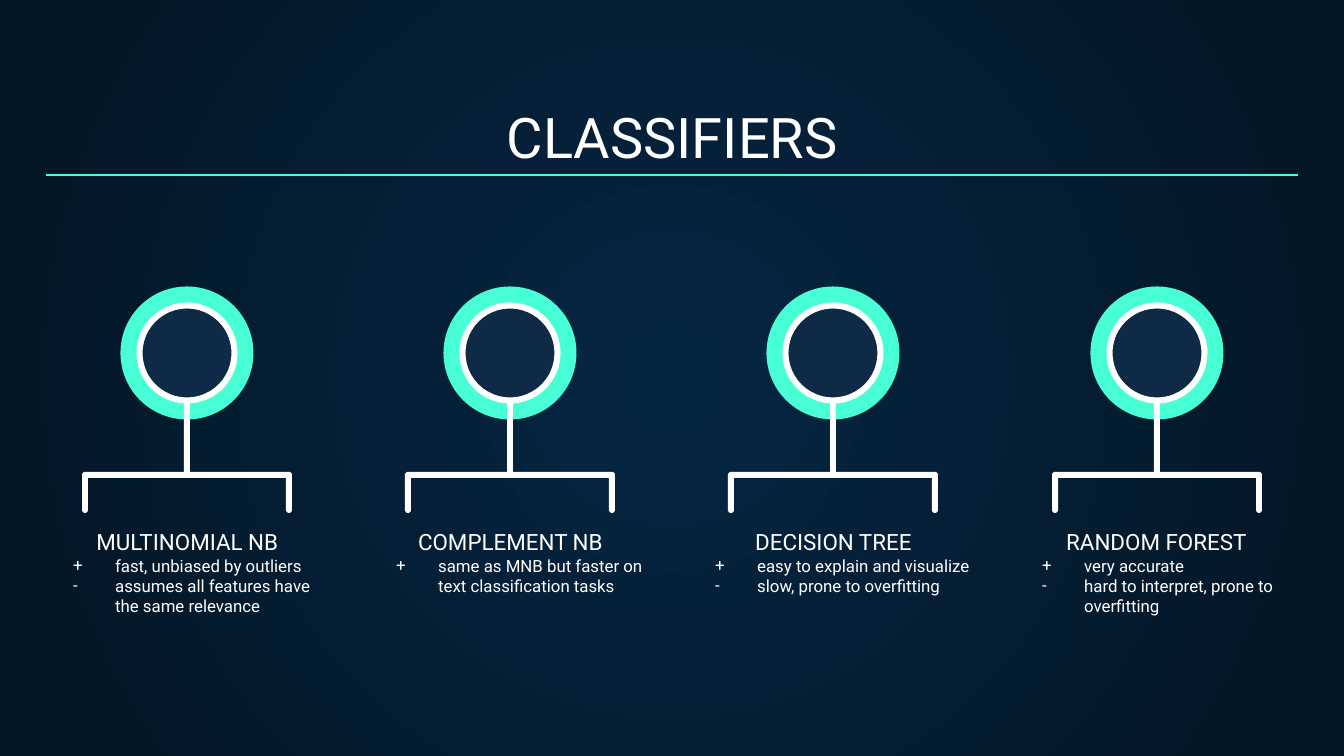
from lxml import etree
from pptx import Presentation, util as u
from pptx.dml.color import RGBColor
from pptx.enum import shapes, text
from pptx.oxml.ns import qn

PX = 914400 / 134.4
FONT = "Roboto"
WHITE = RGBColor(0xFF, 0xFF, 0xFF)
MINT = RGBColor(0x48, 0xFF, 0xD5)
NAVY = RGBColor(0x0E, 0x2A, 0x47)
GLOW = RGBColor(0x05, 0x26, 0x43)
NIGHT = RGBColor(0x04, 0x15, 0x23)

FIRST_CENTER, CENTER_SPAN = 187, 970
CIRCLE_Y = 353
# heading, text left, text width, list of (bullet, wording)
CLASSIFIERS = [
    ("MULTINOMIAL NB", 35, 305, [
        ("+", "fast, unbiased by outliers"),
        ("-", "assumes all features have the same relevance")]),
    ("COMPLEMENT NB", 358, 305, [
        ("+", "same as MNB but faster on text classification tasks")]),
    ("DECISION TREE", 677, 313, [
        ("+", "easy to explain and visualize"),
        ("-", "slow, prone to overfitting")]),
    ("RANDOM FOREST", 1004, 305, [
        ("+", "very accurate"),
        ("-", "hard to interpret, prone to overfitting")]),
]


def px(length):
    return u.Emu(round(length * PX))


class ClassifierSlide:
    def __init__(self, presentation):
        self.slide = presentation.slides.add_slide(presentation.slide_layouts[5])

    def background(self, center, edge):
        """Fill the slide with a gradient that spreads in a circle from the middle."""
        fill = self.slide.background.fill
        fill.gradient()
        for stop, color, position in zip(fill.gradient_stops, (center, edge), (0, 1)):
            stop.color.rgb = color
            stop.position = position
        gradient = self.slide.element.find(".//" + qn("a:gradFill"))
        linear = gradient.find(qn("a:lin"))
        circle = etree.Element(qn("a:path"), {"path": "circle"})
        focus = {side: "50000" for side in "ltrb"}
        etree.SubElement(circle, qn("a:fillToRect"), focus)
        gradient.replace(linear, circle)

    def place(self, shape, left, top, width, height):
        shape.left, shape.top = px(left), px(top)
        shape.width, shape.height = px(width), px(height)

    def frame(self, shape, anchor):
        frame = shape.text_frame
        frame.word_wrap = True
        frame.auto_size = text.MSO_AUTO_SIZE.NONE
        frame.vertical_anchor = anchor
        frame.margin_left = frame.margin_right = u.Inches(0.1)
        frame.margin_top = frame.margin_bottom = u.Inches(0.1)
        return frame

    def run(self, paragraph, wording, size):
        run = paragraph.add_run()
        run.text = wording
        run.font.name = FONT
        run.font.size = u.Pt(size)
        run.font.color.rgb = WHITE

    def title(self, wording, left, top, width, height):
        shape = self.slide.shapes.title
        self.place(shape, left, top, width, height)
        paragraph = self.frame(shape, text.MSO_ANCHOR.BOTTOM).paragraphs[0]
        paragraph.alignment = text.PP_ALIGN.CENTER
        self.run(paragraph, wording, 30)

    def rule(self, left, right, y):
        line = self.slide.shapes.add_connector(
            shapes.MSO_CONNECTOR.STRAIGHT, px(left), px(y), px(right), px(y))
        line.line.color.rgb = MINT
        line.line.width = u.Pt(0.75)
        etree.SubElement(line.element.spPr, qn("a:effectLst"))

    def paint(self, shape, color):
        shape.shadow.inherit = False
        shape.fill.solid()
        shape.fill.fore_color.rgb = color
        shape.line.fill.background()

    def preset(self, kind, left, top, width, height, color, adjustment=None):
        shape = self.slide.shapes.add_shape(
            kind, px(left), px(top), px(width), px(height))
        if adjustment is not None:
            shape.adjustments[0] = adjustment
        self.paint(shape, color)

    def disc(self, x, y, diameter, color):
        self.preset(shapes.MSO_SHAPE.OVAL, x - diameter / 2, y - diameter / 2,
                    diameter, diameter, color)

    def ring(self, x, y, diameter, thickness, color):
        self.preset(shapes.MSO_SHAPE.DONUT, x - diameter / 2, y - diameter / 2,
                    diameter, diameter, color, thickness / diameter)

    def stem(self, x, top, bottom, thickness, color):
        self.preset(shapes.MSO_SHAPE.ROUNDED_RECTANGLE, x - thickness / 2, top,
                    thickness, bottom - top, color, 0.5)

    def bracket(self, x, top, bottom, half_width, thickness, color):
        """Draw a bracket open at the bottom, with softened ends and corners."""
        inner, soft = half_width - thickness, 2
        right = [
            (half_width - soft, top), (half_width, top + soft),
            (half_width, bottom - soft), (half_width - soft, bottom),
            (inner + soft, bottom), (inner, bottom - soft),
            (inner, top + thickness),
        ]
        left = [(-dx, y) for dx, y in reversed(right)]
        points = [(x + dx, y) for dx, y in right + left]
        builder = self.slide.shapes.build_freeform(*points[0], scale=PX)
        builder.add_line_segments(points[1:], close=True)
        self.paint(builder.convert_to_shape(), color)

    def description(self, heading, left, top, width, height, items):
        box = self.slide.shapes.add_textbox(
            px(left), px(top), px(width), px(height))
        frame = self.frame(box, text.MSO_ANCHOR.TOP)
        frame.paragraphs[0].alignment = text.PP_ALIGN.CENTER
        self.run(frame.paragraphs[0], heading, 12)
        for mark, wording in items:
            paragraph = frame.add_paragraph()
            self.bullet(paragraph, mark)
            self.run(paragraph, wording, 9)

    def bullet(self, paragraph, mark):
        paragraph.alignment = text.PP_ALIGN.LEFT
        properties = paragraph._p.get_or_add_pPr()
        properties.set("marL", str(px(67)))
        properties.set("indent", str(px(-42)))
        color = etree.SubElement(properties, qn("a:buClr"))
        etree.SubElement(color, qn("a:srgbClr"), val=str(WHITE))
        etree.SubElement(properties, qn("a:buFont"), typeface=FONT)
        etree.SubElement(properties, qn("a:buChar"), char=mark)


def main():
    presentation = Presentation()
    presentation.slide_width, presentation.slide_height = px(1344), px(756)
    page = ClassifierSlide(presentation)
    page.background(GLOW, NIGHT)
    page.title("CLASSIFIERS", 46, 94, 1253, 89)
    page.rule(46, 1298, 175)
    gaps = len(CLASSIFIERS) - 1
    for index, (heading, left, width, items) in enumerate(CLASSIFIERS):
        x = FIRST_CENTER + index * CENTER_SPAN // gaps
        page.disc(x, CIRCLE_Y, 133, MINT)
        page.bracket(x, 472, 513, 105, 6, WHITE)
        page.stem(x, 344, 478, 6, WHITE)
        page.disc(x, CIRCLE_Y, 94, NAVY)
        page.ring(x, CIRCLE_Y, 101, 6, WHITE)
        page.description(heading, left, 515, width, 101, items)
    presentation.save("out.pptx")


if __name__ == "__main__":
    main()
